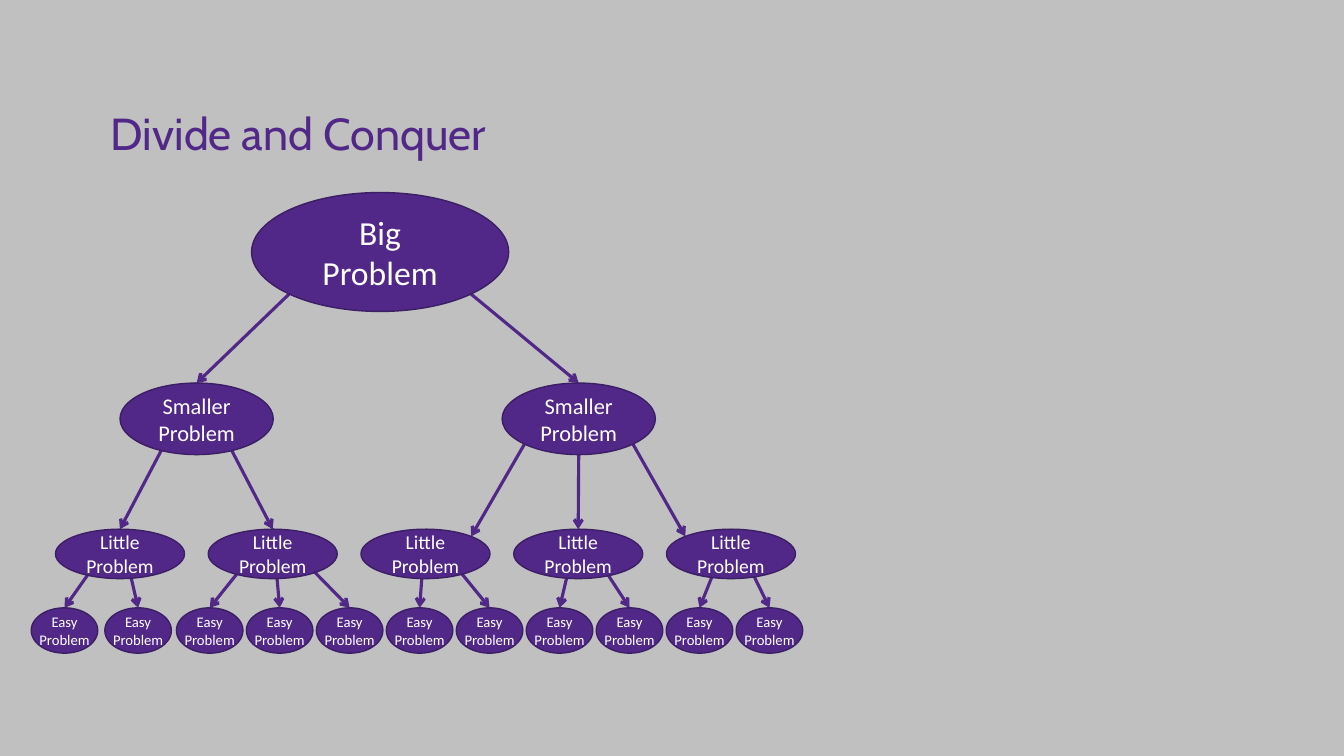
from dataclasses import dataclass

from lxml import etree
from pptx import Presentation
from pptx.dml.color import RGBColor
from pptx.enum.shapes import MSO_CONNECTOR, MSO_SHAPE
from pptx.enum.text import MSO_ANCHOR, MSO_AUTO_SIZE, PP_ALIGN
from pptx.oxml.ns import qn
from pptx.util import Inches, Pt

ELLIPSE = MSO_SHAPE.OVAL
STRAIGHT = MSO_CONNECTOR.STRAIGHT
CENTER = PP_ALIGN.CENTER
MIDDLE = MSO_ANCHOR.MIDDLE
FIT_SHAPE = MSO_AUTO_SIZE.SHAPE_TO_FIT_TEXT


@dataclass(frozen=True)
class Theme:
    background = RGBColor(0xC0, 0xC0, 0xC0)
    purple = RGBColor(0x51, 0x28, 0x88)
    outline = RGBColor(0x3C, 0x1E, 0x65)
    white = RGBColor(0xFF, 0xFF, 0xFF)
    title_font = "Cabin"
    body_font = "Calibri"
    title_size = Pt(32)
    big_size = Pt(24)
    smaller_size = Pt(16)
    little_size = Pt(14)
    easy_size = Pt(10.5)
    outline_width = Pt(1)
    arrow_width = Pt(2.25)


THEME = Theme()


@dataclass(frozen=True)
class Level:
    label: str
    size: int
    top: float
    width: float
    height: float
    centers: tuple

    def box(self, index):
        return self.centers[index] - self.width / 2, self.top, self.width, self.height


BIG = Level("Big Problem", THEME.big_size, 1.91, 2.55, 1.18, (3.77,))
SMALLER = Level("Smaller Problem", THEME.smaller_size, 3.8, 1.52, 0.71, (1.95, 5.74))
LITTLE = Level("Little Problem", THEME.little_size, 5.25, 1.28, 0.49,
               tuple(1.19 + 1.515 * i for i in range(5)))
EASY = Level("Easy Problem", THEME.easy_size, 6.03, 0.66, 0.45,
             (0.64, 1.37) + tuple(2.08 + 0.694 * i for i in range(9)))

# Points on an ellipse as fractions of its box
TOP, BOTTOM = (0.5, 0), (0.5, 1)
TOP_LEFT, TOP_RIGHT = (0.146, 0.146), (0.854, 0.146)
BOTTOM_LEFT, BOTTOM_RIGHT = (0.146, 0.854), (0.854, 0.854)

# Parent index, child index, start point, end point
BIG_SPLITS = ((0, 0, BOTTOM_LEFT, TOP), (0, 1, BOTTOM_RIGHT, TOP))
SMALLER_SPLITS = (
    (0, 0, TOP, TOP), (0, 1, TOP, TOP),
    (1, 2, BOTTOM_LEFT, TOP_RIGHT), (1, 3, BOTTOM, TOP), (1, 4, BOTTOM_RIGHT, TOP_LEFT),
)
LITTLE_PARENTS = (0, 0, 1, 1, 1, 2, 2, 3, 3, 4, 4)
LITTLE_SPLITS = tuple((parent, child, TOP, TOP) for child, parent in enumerate(LITTLE_PARENTS))


def set_text(shape, text, font, size, color):
    shape.text_frame.text = text
    paragraph = shape.text_frame.paragraphs[0]
    run_font = paragraph.runs[0].font
    run_font.name, run_font.size = font, size
    run_font.color.rgb = color
    return paragraph


def add_title(slide, left, top, width, height):
    title = slide.shapes.add_textbox(Inches(left), Inches(top), Inches(width), Inches(height))
    title.text_frame.word_wrap = False
    title.text_frame.auto_size = FIT_SHAPE
    set_text(title, "Divide and Conquer", THEME.title_font, THEME.title_size, THEME.purple)


def add_ellipse(shapes, box):
    ellipse = shapes.add_shape(ELLIPSE, *map(Inches, box))
    ellipse.shadow.inherit = False
    ellipse.fill.solid()
    ellipse.fill.fore_color.rgb = THEME.purple
    ellipse.line.color.rgb = THEME.outline
    ellipse.line.width = THEME.outline_width
    return ellipse


def add_label(shape, level):
    shape.text_frame.word_wrap = True
    paragraph = set_text(shape, level.label, THEME.body_font, level.size, THEME.white)
    paragraph.alignment = CENTER


def add_problems(slide, level):
    for index in range(len(level.centers)):
        ellipse = add_ellipse(slide.shapes, level.box(index))
        ellipse.text_frame.vertical_anchor = MIDDLE
        add_label(ellipse, level)


def add_easy_problems(slide, level):
    """Group each ellipse with a text box slightly wider than it."""
    overhang = 0.035
    for index in range(len(level.centers)):
        left, top, width, height = level.box(index)
        group = slide.shapes.add_group_shape()
        add_ellipse(group.shapes, (left, top, width, height))
        label = group.shapes.add_textbox(Inches(left - overhang), Inches(top),
                                         Inches(width + 2 * overhang), Inches(height))
        add_label(label, level)
        label.text_frame.auto_size = FIT_SHAPE


def point_on(box, fraction):
    left, top, width, height = box
    return Inches(left + width * fraction[0]), Inches(top + height * fraction[1])


def add_arrows(slide, parents, children, splits):
    for parent, child, start, end in splits:
        arrow = slide.shapes.add_connector(
            STRAIGHT,
            *point_on(parents.box(parent), start),
            *point_on(children.box(child), end),
        )
        arrow.line.color.rgb = THEME.purple
        arrow.line.width = THEME.arrow_width
        properties = arrow.element.spPr
        line = properties.find(qn("a:ln"))
        etree.SubElement(line, qn("a:tailEnd"), type="arrow")
        etree.SubElement(properties, qn("a:effectLst"))


def add_problem_tree(slide):
    add_easy_problems(slide, EASY)
    add_arrows(slide, BIG, SMALLER, BIG_SPLITS)
    add_arrows(slide, SMALLER, LITTLE, SMALLER_SPLITS)
    add_arrows(slide, LITTLE, EASY, LITTLE_SPLITS)
    for level in (BIG, SMALLER, LITTLE):
        add_problems(slide, level)


def main():
    presentation = Presentation()
    presentation.slide_width, presentation.slide_height = Inches(13.33), Inches(7.5)
    slide = presentation.slides.add_slide(presentation.slide_layouts[6])
    slide.background.fill.solid()
    slide.background.fill.fore_color.rgb = THEME.background
    add_title(slide, 1, 1, 3.93, 0.64)
    add_problem_tree(slide)
    presentation.save("out.pptx")


if __name__ == "__main__":
    main()
